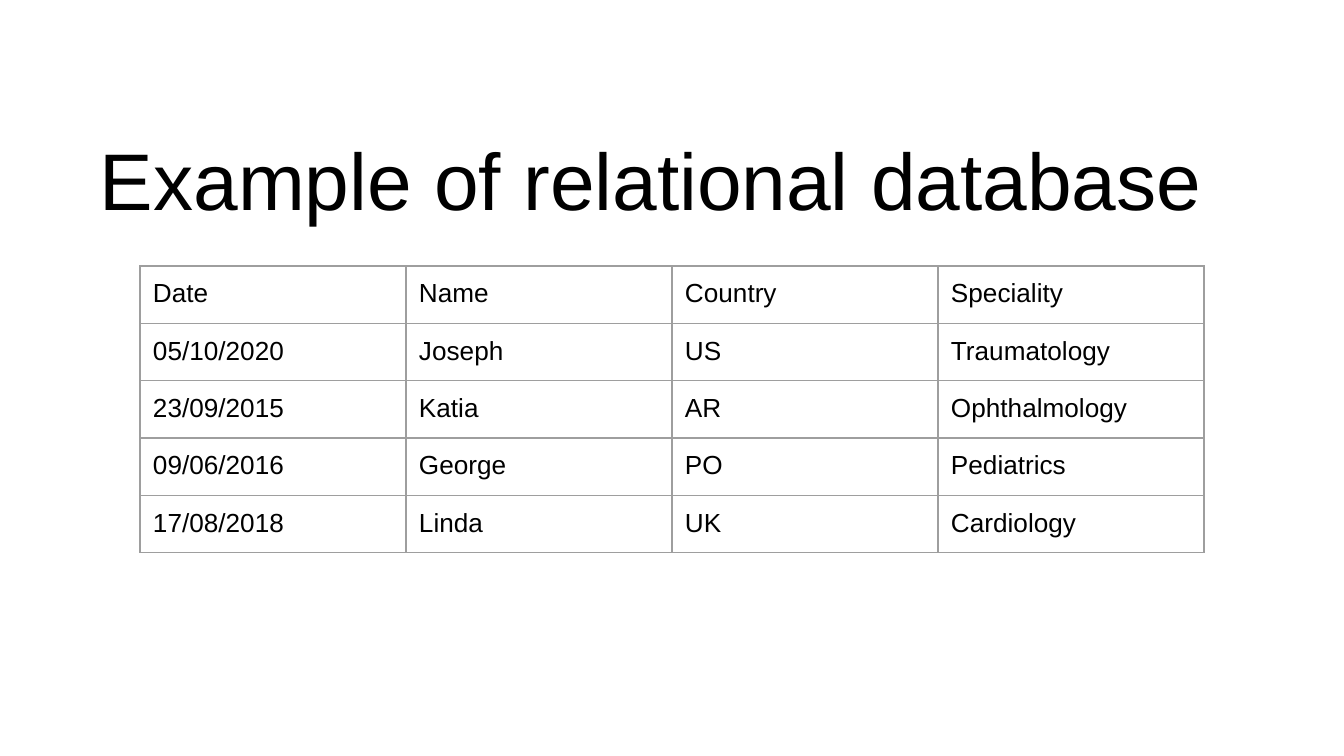
from pptx import Presentation
from pptx.dml.color import RGBColor
from pptx.enum.text import MSO_ANCHOR
from pptx.oxml import parse_xml
from pptx.oxml.ns import nsdecls
from pptx.util import Pt

SCALE = 914400 / 134.4  # EMU per px
COLORS = {"text": "000000", "border": "9E9E9E", "background": "FFFFFF"}
COL_W, ROW_H = 266, 56
RECORDS = [
    ["Date", "Name", "Country", "Speciality"],
    ["05/10/2020", "Joseph", "US", "Traumatology"],
    ["23/09/2015", "Katia", "AR", "Ophthalmology"],
    ["09/06/2016", "George", "PO", "Pediatrics"],
    ["17/08/2018", "Linda", "UK", "Cardiology"],
]


def px(n):
    return round(n * SCALE)


def write(tf, text, size, color="text", font="Arial"):
    r = tf.paragraphs[0].add_run()
    r.text = text
    r.font.size = Pt(size)
    r.font.name = font
    r.font.color.rgb = RGBColor.from_string(COLORS[color])


def set_margins(box, left, top, right, bottom):
    box.margin_left, box.margin_top = px(left), px(top)
    box.margin_right, box.margin_bottom = px(right), px(bottom)


def add_title(s, text, x, y, w, h):
    tf = s.shapes.add_textbox(px(x), px(y), px(w), px(h)).text_frame
    tf.word_wrap = True
    tf.vertical_anchor = MSO_ANCHOR.TOP
    set_margins(tf, 9, 21, 9, 13)
    write(tf, text, size=43)


def set_borders(cell, color="border", width=0.75):
    tc_pr = cell._tc.get_or_add_tcPr()
    for i, side in enumerate(("lnL", "lnR", "lnT", "lnB")):
        # Borders come before the fill in the cell properties
        tc_pr.insert(i, parse_xml(
            f'<a:{side} {nsdecls("a")} w="{Pt(width)}"><a:solidFill>'
            f'<a:srgbClr val="{COLORS[color]}"/></a:solidFill></a:{side}>'))


def add_records(s, records, x, y):
    rows, cols = len(records), len(records[0])
    table = s.shapes.add_table(rows, cols, px(x), px(y),
                               px(cols * COL_W), px(rows * ROW_H)).table
    table.first_row = table.horz_banding = False
    for col in table.columns:
        col.width = px(COL_W)
    for row, record in zip(table.rows, records):
        row.height = px(ROW_H)
        for cell, text in zip(row.cells, record):
            cell.fill.background()
            set_margins(cell, 13, 13, 13, 13)
            set_borders(cell)
            write(cell.text_frame, text, size=14)


def main():
    prs = Presentation()
    prs.slide_width, prs.slide_height = px(1344), px(756)
    s = prs.slides.add_slide(prs.slide_layouts[6])
    s.background.fill.solid()
    s.background.fill.fore_color.rgb = RGBColor.from_string(COLORS["background"])

    # Heading
    add_title(s, "Example of relational database", 91, 109, 1148, 301)

    # Table of specialists
    add_records(s, RECORDS, 140, 266)

    prs.save("out.pptx")


if __name__ == "__main__":
    main()
